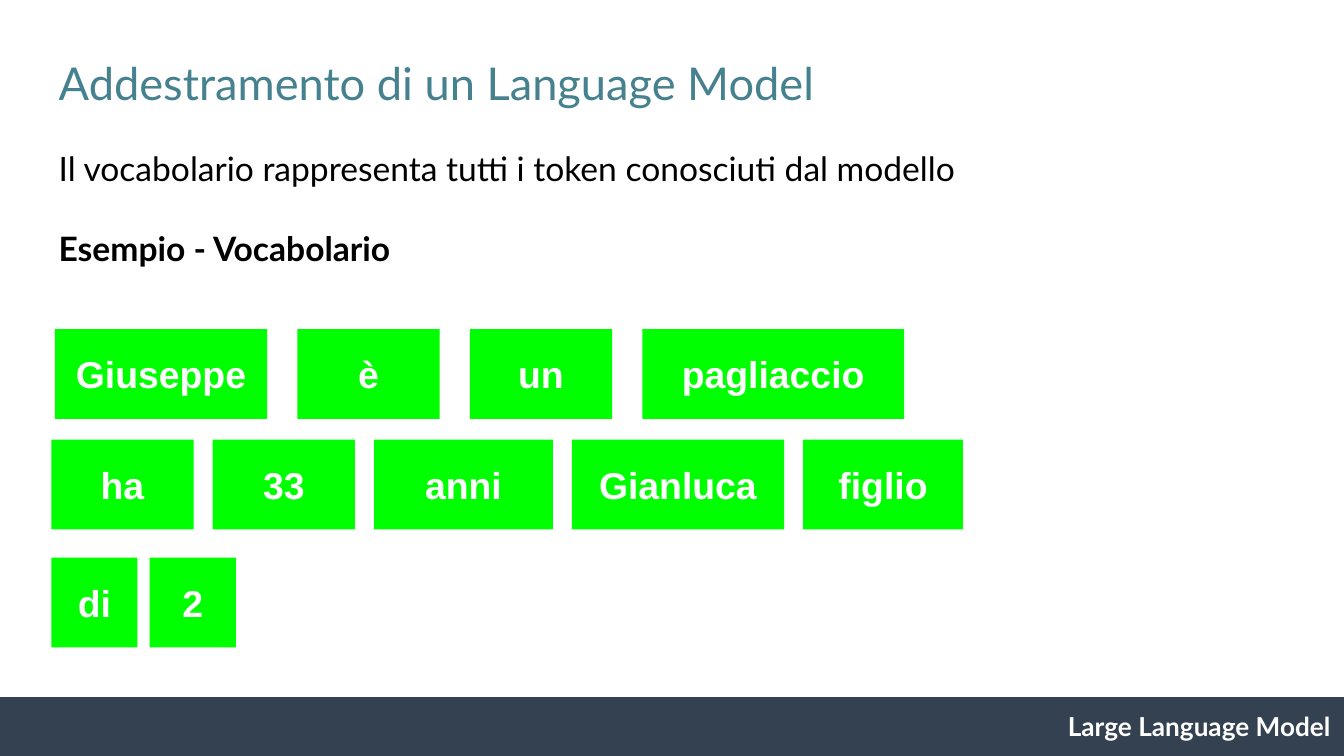
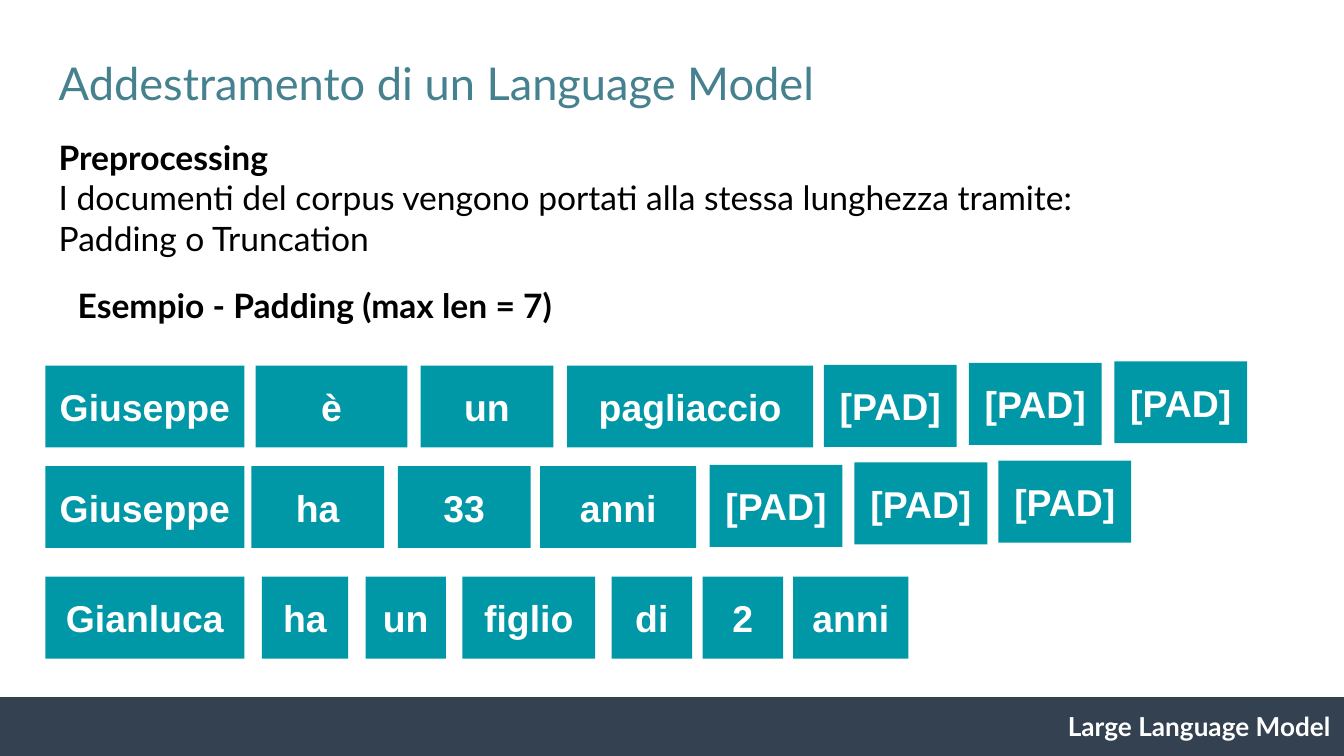
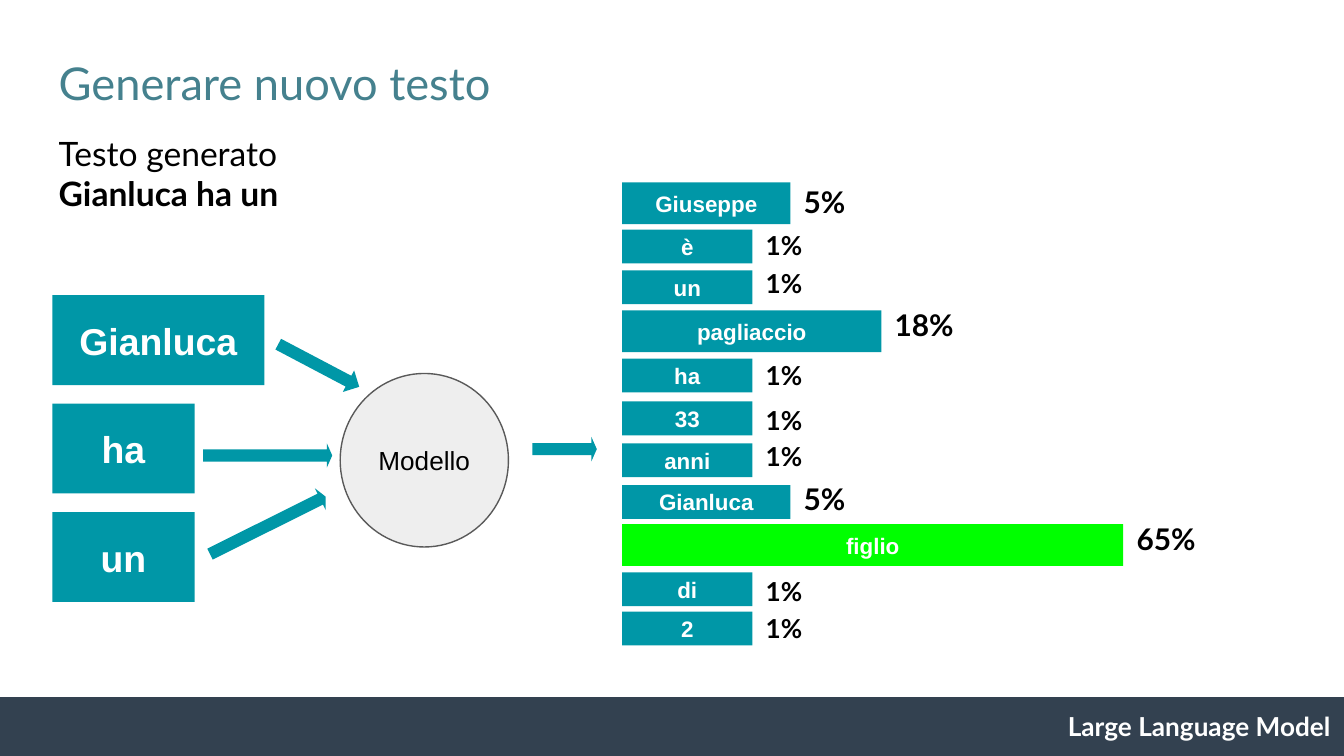
from pptx import Presentation
from pptx.dml.color import RGBColor
from pptx.enum.shapes import MSO_SHAPE
from pptx.enum.text import MSO_ANCHOR, PP_ALIGN
from pptx.util import Cm, Pt

RECT, OVAL, ARROW = MSO_SHAPE.RECTANGLE, MSO_SHAPE.OVAL, MSO_SHAPE.RIGHT_ARROW
LEFT, MID, RIGHT = PP_ALIGN.LEFT, PP_ALIGN.CENTER, PP_ALIGN.RIGHT
TOP, CENTER = MSO_ANCHOR.TOP, MSO_ANCHOR.MIDDLE

TEAL, GREEN, WHITE, BLACK = "0097A7", "00FF00", "FFFFFF", "000000"
TITLE, BAND, PALE, GREY = "45818E", "334150", "EEEEEE", "595959"
SANS, BASE = "Lato", "Arial"
FOOTER = "Large Language Model"
TRAIN = "Addestramento di un Language Model"

INTRO = [("Il vocabolario rappresenta tutti i token conosciuti dal modello", False, 0),
         ("Esempio - Vocabolario", True, 21.6)]
VOCAB = [
    (1.04, 6.22, 0.57, [("Giuseppe", 4.01), ("è", 2.69), ("un", 2.69), ("pagliaccio", 4.95)]),
    (0.97, 8.31, 0.36, [("ha", 2.69), ("33", 2.69), ("anni", 3.38), ("Gianluca", 4.01),
                        ("figlio", 3.02)]),
    (0.97, 10.54, 0.23, [("di", 1.63), ("2", 1.63)]),
]

PREP = [("Preprocessing", True, 0),
        ("I documenti del corpus vengono portati alla stessa lunghezza tramite:", False, 0),
        ("Padding o Truncation", False, 0)]
SAMPLE = [("Esempio - Padding (max len = 7)", True, 0)]
DOCS = [
    (6.91, [("Giuseppe", 0.86, 3.76), ("è", 4.83, 2.87), ("un", 7.95, 2.51),
            ("pagliaccio", 10.72, 4.65)]),
    (8.81, [("Giuseppe", 0.86, 3.76), ("ha", 4.75, 2.51), ("33", 7.52, 2.51),
            ("anni", 10.21, 2.95)]),
    (10.9, [("Gianluca", 0.86, 3.76), ("ha", 4.95, 1.63), ("un", 6.91, 1.52),
            ("figlio", 8.74, 2.51), ("di", 11.56, 1.52), ("2", 13.28, 1.52),
            ("anni", 14.99, 2.18)]),
]
PADS = [(15.57, 6.9), (18.31, 6.86), (21.06, 6.83),
        (13.41, 8.79), (16.15, 8.74), (18.87, 8.71)]

RESULT = [("Testo generato", False, 0), ("Gianluca ha un", True, 0)]
INPUT = [("Gianluca", 4.01), ("ha", 2.69), ("un", 2.69)]
ARROWS = [(5.16, 6.68, 1.73, 27.8, 0.5), (3.84, 9.7, 2.44, -26.5, 0.24),
          (3.84, 8.38, 2.44, 0, 0.22), (10.06, 8.26, 1.22, 0, 0.22)]
SLIM, TALL = 0.64, 0.79
WIDTHS = {"1%": 2.46, "5%": 3.18, "18%": 4.9, "65%": 9.47}
ODDS = [
    ("Giuseppe", "5%", 3.45, TALL, 3.23),
    ("è", "1%", 4.34, SLIM, 4.09),
    ("un", "1%", 5.11, SLIM, 4.8),
    ("pagliaccio", "18%", 5.87, TALL, 5.54),
    ("ha", "1%", 6.78, SLIM, 6.55),
    ("33", "1%", 7.59, SLIM, 7.39),
    ("anni", "1%", 8.38, SLIM, 8.08),
    ("Gianluca", "5%", 9.17, SLIM, 8.84),
    ("figlio", "65%", 9.91, TALL, 9.6),
    ("di", "1%", 10.82, SLIM, 10.62),
    ("2", "1%", 11.56, SLIM, 11.33),
]


def rgb(code):
    return RGBColor.from_string(code)


def write(shape, lines, size, color, name, align=LEFT, anchor=TOP):
    frame = shape.text_frame
    frame.word_wrap = True
    frame.vertical_anchor = anchor
    frame.margin_left = frame.margin_right = Cm(0.25)
    frame.margin_top = frame.margin_bottom = Cm(0.25)
    for i, (text, bold, space) in enumerate(lines):
        para = frame.add_paragraph() if i else frame.paragraphs[0]
        para.text = text
        para.alignment = align
        if space:
            para.space_before = Pt(space)
        font = para.font
        font.name, font.size, font.bold = name, Pt(size), bold
        font.color.rgb = rgb(color)


def label(slide, box, lines, size=18, color=BLACK, align=LEFT):
    shape = slide.shapes.add_textbox(*map(Cm, box))
    write(shape, lines, size, color, SANS, align)


def draw(slide, kind, box, fill, line=None):
    shape = slide.shapes.add_shape(kind, *map(Cm, box))
    shape.shadow.inherit = False
    shape.fill.solid()
    shape.fill.fore_color.rgb = rgb(fill)
    if line:
        shape.line.color.rgb = rgb(line)
        shape.line.width = Pt(0.75)
    else:
        shape.line.fill.background()
    return shape


def token(slide, word, box, fill=TEAL, size=20):
    shape = draw(slide, RECT, box, fill)
    write(shape, [(word, True, 0)], size, WHITE, BASE, MID, CENTER)


def start(deck, title, top, lines):
    slide = deck.slides.add_slide(deck.slide_layouts[6])
    label(slide, (0.86, 0.79, 23.67, 1.6), [(title, False, 0)], 24.2, TITLE)
    draw(slide, RECT, (0, 13.18, 25.4, 1.11), BAND)
    label(slide, (14.61, 13.18, 10.79, 1.11), [(FOOTER, True, 0)], 14, WHITE, RIGHT)
    label(slide, (0.86, top, 21.23, 1.4), lines)
    return slide


def vocab(deck):
    slide = start(deck, TRAIN, 2.54, INTRO)
    for left, top, gap, words in VOCAB:
        for word, width in words:
            token(slide, word, (left, top, width, 1.7), GREEN)
            left += width + gap


def padding(deck):
    slide = start(deck, TRAIN, 2.34, PREP)
    label(slide, (1.22, 5.13, 11.23, 1.27), SAMPLE)
    for top, words in DOCS:
        for word, left, width in words:
            token(slide, word, (left, top, width, 1.55))
    for left, top in PADS:
        token(slide, "[PAD]", (left, top, 2.51, 1.55))


def output(deck):
    slide = start(deck, "Generare nuovo testo", 2.26, RESULT)
    for i, (word, width) in enumerate(INPUT):
        token(slide, word, (0.99, 5.58 + i * 2.05, width, 1.7))
    model = draw(slide, OVAL, (6.43, 7.06, 3.18, 3.28), PALE, GREY)
    write(model, [("Modello", False, 0)], 14, BLACK, BASE, MID, CENTER)
    for left, top, width, turn, head in ARROWS:
        arrow = draw(slide, ARROW, (left, top, width, 0.46), TEAL)
        arrow.rotation = turn
        arrow.adjustments[1] = head
    for word, odds, top, height, mark in ODDS:
        width = WIDTHS[odds]
        fill = GREEN if odds == "65%" else TEAL
        token(slide, word, (11.76, top, width, height), fill, 12)
        size, room = (14, 0.79) if odds == "1%" else (16, 1.4)
        label(slide, (11.76 + width, mark, 2.44, room), [(odds, True, 0)], size)


def main():
    deck = Presentation()
    deck.slide_width, deck.slide_height = Cm(25.4), Cm(14.29)
    for build in (vocab, padding, output):
        build(deck)
    deck.save("out.pptx")


if __name__ == "__main__":
    main()
